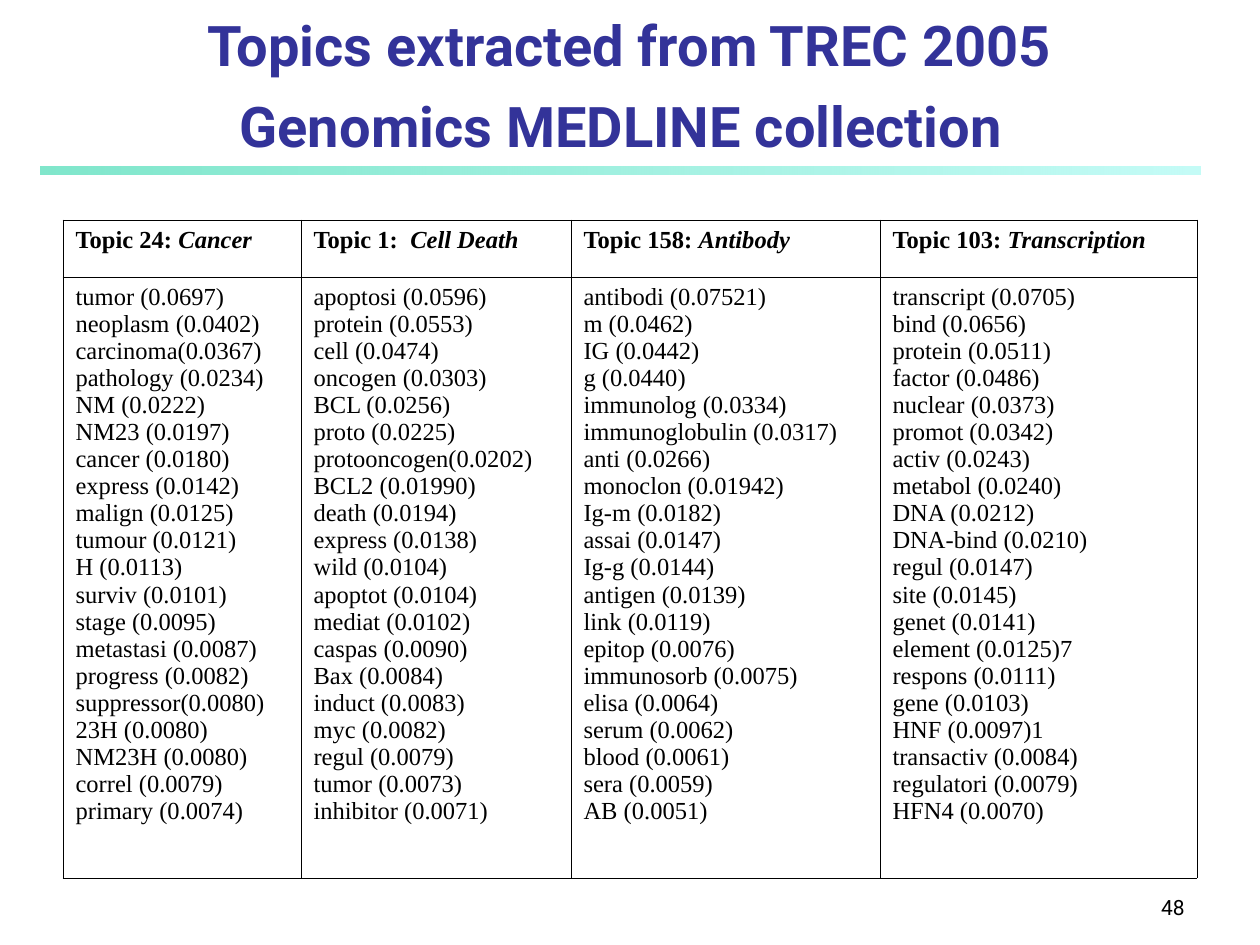
import pptx
import pptx.dml.color
import pptx.enum.shapes
import pptx.enum.text
import pptx.oxml.ns
import pptx.util
from lxml import etree

PX_PER_INCH = 126
SERIF, SANS = "Times New Roman", "Roboto"
ALIGN = pptx.enum.text.PP_ALIGN
ANCHOR = pptx.enum.text.MSO_ANCHOR

# Each topic: label, name, stemmed terms with their probabilities
TOPICS = [
    ("Topic 24: ", "Cancer", [
        "tumor (0.0697)", "neoplasm (0.0402)", "carcinoma(0.0367)",
        "pathology (0.0234)", "NM (0.0222)", "NM23 (0.0197)",
        "cancer (0.0180)", "express (0.0142)", "malign (0.0125)",
        "tumour (0.0121)", "H (0.0113)", "surviv (0.0101)",
        "stage (0.0095)", "metastasi (0.0087)", "progress (0.0082)",
        "suppressor(0.0080)", "23H (0.0080)", "NM23H (0.0080)",
        "correl (0.0079)", "primary (0.0074)"]),
    ("Topic 1:  ", "Cell Death", [
        "apoptosi (0.0596)", "protein (0.0553)", "cell (0.0474)",
        "oncogen (0.0303)", "BCL (0.0256)", "proto (0.0225)",
        "protooncogen(0.0202)", "BCL2 (0.01990)", "death (0.0194)",
        "express (0.0138)", "wild (0.0104)", "apoptot (0.0104)",
        "mediat (0.0102)", "caspas (0.0090)", "Bax (0.0084)",
        "induct (0.0083)", "myc (0.0082)", "regul (0.0079)",
        "tumor (0.0073)", "inhibitor (0.0071)"]),
    ("Topic 158: ", "Antibody", [
        "antibodi (0.07521)", "m (0.0462)", "IG (0.0442)",
        "g (0.0440)", "immunolog (0.0334)", "immunoglobulin (0.0317)",
        "anti (0.0266)", "monoclon (0.01942)", "Ig-m (0.0182)",
        "assai (0.0147)", "Ig-g (0.0144)", "antigen (0.0139)",
        "link (0.0119)", "epitop (0.0076)", "immunosorb (0.0075)",
        "elisa (0.0064)", "serum (0.0062)", "blood (0.0061)",
        "sera (0.0059)", "AB (0.0051)"]),
    ("Topic 103: ", "Transcription", [
        "transcript (0.0705)", "bind (0.0656)", "protein (0.0511)",
        "factor (0.0486)", "nuclear (0.0373)", "promot (0.0342)",
        "activ (0.0243)", "metabol (0.0240)", "DNA (0.0212)",
        "DNA-bind (0.0210)", "regul (0.0147)", "site (0.0145)",
        "genet (0.0141)", "element (0.0125)7", "respons (0.0111)",
        "gene (0.0103)", "HNF (0.0097)1", "transactiv (0.0084)",
        "regulatori (0.0079)", "HFN4 (0.0070)"]),
]
COLUMN_WIDTHS = [238, 270, 309, 317]
ROW_HEIGHTS = [57, 601]


def px(length):
    return pptx.util.Emu(round(length * 914400 / PX_PER_INCH))


def rgb(hex_color):
    return pptx.dml.color.RGBColor.from_string(hex_color)


def set_font(font, name, size, color="000000", bold=False):
    font.name, font.size, font.bold = name, pptx.util.Pt(size), bold
    font.color.rgb = rgb(color)


def add_text(slide, box, text, align, *font_style):
    frame = slide.shapes.add_textbox(*map(px, box)).text_frame
    frame.word_wrap = True
    frame.vertical_anchor = ANCHOR.BOTTOM
    line = frame.paragraphs[0]
    line.add_run().text = text
    line.alignment = align
    set_font(line.font, *font_style)
    return line


def add_gradient_bar(slide, box, stops, angle):
    bar = slide.shapes.add_shape(
        pptx.enum.shapes.MSO_SHAPE.RECTANGLE, *map(px, box))
    bar.shadow.inherit = False
    bar.line.fill.background()
    bar.fill.gradient()
    bar.fill.gradient_angle = angle
    for stop, (position, color, opacity) in zip(bar.fill.gradient_stops, stops):
        stop.position = position
        stop.color.rgb = rgb(color)
    # Opacity of each stop
    colors = bar.element.spPr.iter(pptx.oxml.ns.qn("a:srgbClr"))
    for color_element, (_, _, opacity) in zip(colors, stops):
        etree.SubElement(color_element, pptx.oxml.ns.qn("a:alpha"),
                         val=str(opacity * 1000))


def style_cell(cell, color="000000", width=0.45):
    properties = cell._tc.get_or_add_tcPr()
    for side in ("lnL", "lnR", "lnT", "lnB"):
        border = etree.SubElement(properties, pptx.oxml.ns.qn("a:" + side),
                                  w=str(pptx.util.Pt(width)))
        fill = etree.SubElement(border, pptx.oxml.ns.qn("a:solidFill"))
        etree.SubElement(fill, pptx.oxml.ns.qn("a:srgbClr"), val=color)
    cell.fill.background()


def style_line(line, align, bold=False):
    indent = line._p.get_or_add_pPr()
    indent.set("marL", str(px(48)))
    indent.set("indent", str(-px(48)))
    line.alignment = align
    set_font(line.font, SERIF, 14, bold=bold)


def add_topic_table(slide, left, top):
    table = slide.shapes.add_table(
        len(ROW_HEIGHTS), len(TOPICS), px(left), px(top),
        px(sum(COLUMN_WIDTHS)), px(sum(ROW_HEIGHTS))).table
    table.first_row = table.horz_banding = False
    for column, width in zip(table.columns, COLUMN_WIDTHS):
        column.width = px(width)
    for row, height in zip(table.rows, ROW_HEIGHTS):
        row.height = px(height)
    for index, (label, name, terms) in enumerate(TOPICS):
        heading, body = table.cell(0, index), table.cell(1, index)
        style_cell(heading)
        style_cell(body)
        title = heading.text_frame.paragraphs[0]
        title.add_run().text = label
        topic_name = title.add_run()
        topic_name.text = name
        topic_name.font.italic = True
        style_line(title, ALIGN.LEFT, bold=True)
        body.text_frame.text = "\n".join(terms)
        for line in body.text_frame.paragraphs:
            style_line(line, ALIGN.JUSTIFY)


def main():
    deck = pptx.Presentation()
    deck.slide_width, deck.slide_height = px(1260), px(945)
    slide = deck.slides.add_slide(deck.slide_layouts[6])

    # Rule under the title
    add_gradient_bar(slide, (41, 167, 1160, 8),
                     [(0, "8FF9EF", 52), (1, "00CE98", 50)], 180)

    # Title; the larger closing space sets the height of its second line
    title = add_text(slide, (63, 10, 1134, 158),
                     "Topics extracted from TREC 2005 Genomics MEDLINE collection",
                     ALIGN.CENTER, SANS, 32, "333399", True)
    closing_space = title.add_run()
    closing_space.text = " "
    closing_space.font.size = pptx.util.Pt(40)

    # Topics and page number
    add_topic_table(slide, 63, 220)
    add_text(slide, (903, 861, 294, 65), "48", ALIGN.RIGHT, SANS, 12)

    deck.save("out.pptx")


if __name__ == "__main__":
    main()
